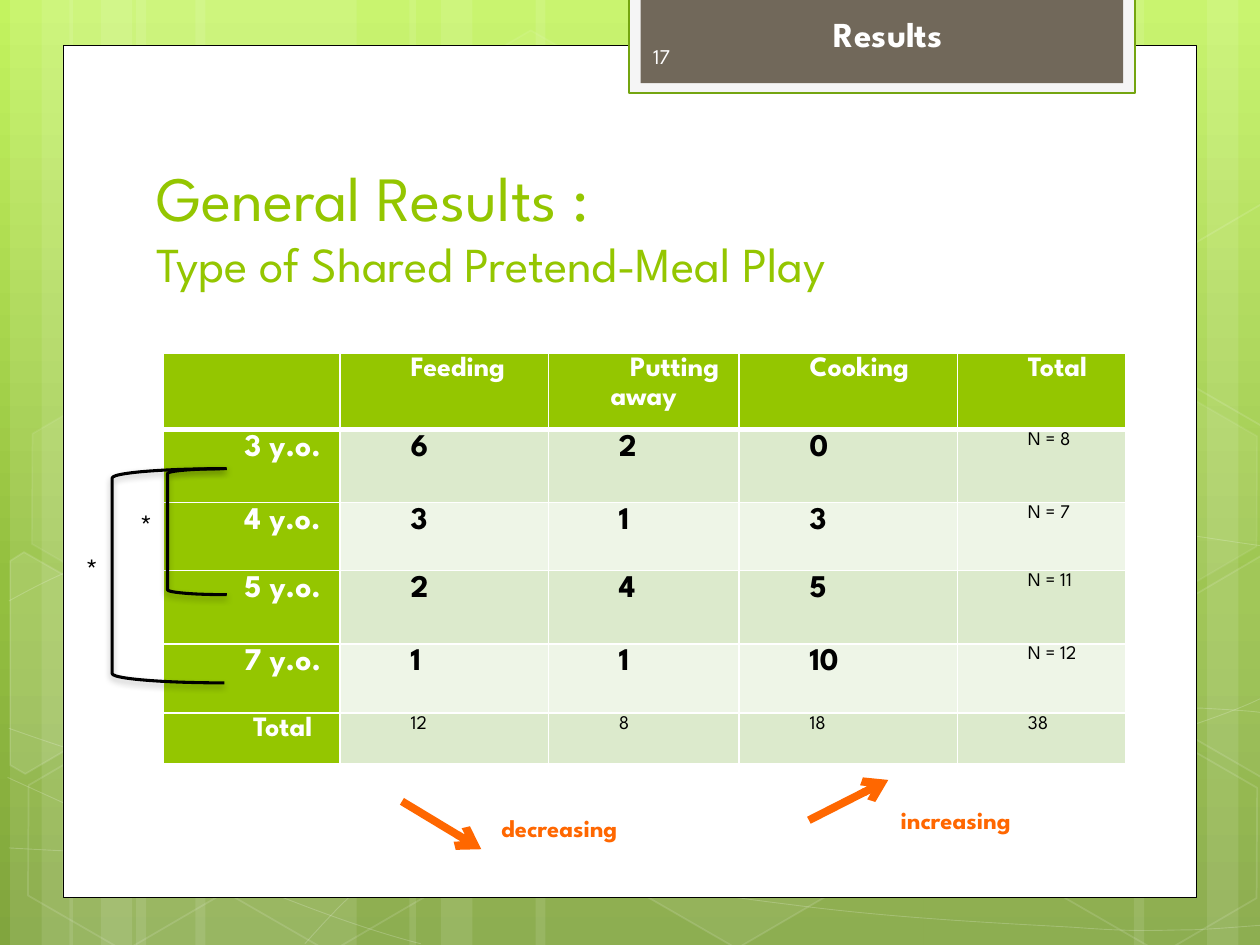
"""Build a results slide with a table of shared pretend-meal play by age."""
import copy
import math
from dataclasses import dataclass
from typing import Optional

import pptx
import pptx.dml.color
import pptx.enum.shapes
import pptx.enum.text
import pptx.oxml
import pptx.oxml.ns
import pptx.util

RGB = pptx.dml.color.RGBColor
SHAPE = pptx.enum.shapes.MSO_SHAPE
ALIGN = pptx.enum.text.PP_ALIGN
ANCHOR = pptx.enum.text.MSO_ANCHOR
Pt = pptx.util.Pt
qn = pptx.oxml.ns.qn

WHITE, BLACK = RGB(0xFF, 0xFF, 0xFF), RGB(0, 0, 0)
GREEN, ORANGE = RGB(0x94, 0xC6, 0x00), RGB(0xFF, 0x67, 0x00)
BAND_DARK, BAND_LIGHT = RGB(0xDC, 0xEA, 0xCC), RGB(0xEE, 0xF5, 0xE7)
TAB_RIM, TAB_EDGE = RGB(0xF5, 0xF5, 0xF5), RGB(0x74, 0xA5, 0x10)
TAB_FILL, NUMBER = RGB(0x71, 0x68, 0x5A), RGB(0xFE, 0xFE, 0xFE)
BACKDROP = [(0, RGB(0xC3, 0xF3, 0x5F)), (0.62, RGB(0x93, 0xBF, 0x3F)), (1, RGB(0x81, 0xA5, 0x3E))]
FONT = "League Spartan"
COLUMNS, ROWS = 100, 75
CELL = pptx.util.Inches(10) / COLUMNS
TILT = 30
NS = 'xmlns:a="http://schemas.openxmlformats.org/drawingml/2006/main"'


@dataclass
class Box:
    x: float
    y: float
    w: float
    h: float


@dataclass
class CutHexagon:
    center: tuple
    points: list
    fill_alpha: int = 0


@dataclass
class Hexagon:
    x: float
    y: float
    fill_alpha: int = 0
    line_alpha: int = 12


@dataclass
class Label:
    text: str
    box: Box
    size: float
    color: RGB
    bold: bool = False
    align: Optional[int] = None
    anchor: int = ANCHOR.TOP
    wrap: bool = False


LEFT_STRIPES = [(10.8, 17.5), (0.8, 5), (3.3, 8.3)]
STRIPES = LEFT_STRIPES + [(x + 4.7, w) for x, w in LEFT_STRIPES] + [
    (73.3, 17.5), (95.8, 5), (90, 8.3), (42.5, 30.8), (32.5, 5), (35, 8.3)]
CURVES = [
    [(0.7, 67.3), (6.1, 67.6), (11.5, 67.9), (19, 67.8), (26.5, 67.7), (35.8, 67.5), (45.8, 66.5),
     (55.8, 65.5), (70, 63.6), (79.2, 61.7), (88.3, 59.8), (97.7, 56.8), (100.7, 55.1)],
    [(0.7, 47.7), (3.6, 46.1), (6.5, 44.6), (12.1, 43.1), (17.8, 41.6), (25.9, 39.4), (34.7, 38.7),
     (43.6, 38), (54.4, 37.9), (65.4, 38.7), (76.4, 39.5), (94.7, 42.6), (100.7, 43.4)],
    [(0.6, 61.7), (12.7, 67.2), (24.7, 72.7), (33.4, 74.9)],
    [(0.7, 57.8), (3.8, 58.9), (7, 60), (12.8, 61.6), (18.6, 63.1), (27.3, 65.6), (35.7, 67.3),
     (44, 69), (54.5, 70.8), (62.8, 71.8), (71.1, 72.9), (80, 73.3), (85.3, 73.6),
     (90.5, 74), (91.9, 73.8), (94.5, 73.8), (97.1, 73.7), (98.9, 73.5), (100.7, 73.4)],
    [(24.2, 74.9), (26, 72.9), (27.8, 70.9), (30.2, 69.1), (32.6, 67.3), (36, 65.3), (38.8, 63.9),
     (41.6, 62.5), (43.3, 61.9), (47, 60.9), (50.6, 59.9), (57.3, 58.5), (60.8, 57.8),
     (64.4, 57.1), (64.9, 57.1), (68, 56.9), (71.1, 56.6), (76, 56.3), (79.4, 56.2),
     (82.9, 56.1), (88.6, 56.2), (88.6, 56.2), (90.8, 56.2), (93, 56.2), (95.3, 56.2),
     (97.1, 56.3), (98.8, 56.4), (99.7, 56.5), (100.3, 56.6), (100.3, 56.5), (100.6, 56.6)]]
HEXAGONS = [
    Hexagon(33.4, 3.6, 4, 8), Hexagon(49.7, 58.9, 6), Hexagon(1.1, 59.1), Hexagon(1.4, 31.2, 7, 8),
    Hexagon(17.4, 59.2), Hexagon(75.3, 45.3, 10), Hexagon(83.4, 59.3), Hexagon(83.4, 31.4, 7, 8)]
RIGHT_EDGE = [(92.6, 48.5), (100.1, 44.1), (100.9, 44.6), (100.9, 61.3), (100.2, 61.7), (92.6, 57.3)]
CUT_HEXAGONS = [
    CutHexagon((3.6, 53.5), [(0.8, 44.5), (1.9, 43.8), (9.6, 48.2), (9.5, 57), (2, 61.4), (0.8, 60.7)], 10),
    CutHexagon((98.5, 52), RIGHT_EDGE, 4),
    CutHexagon((98.5, 24.1), [(x, y - 27.9) for x, y in RIGHT_EDGE])]
LABELS = [
    Label("Results", Box(51.6, 0.5, 37.8, 4.4), 20, WHITE, True, ALIGN.CENTER, wrap=True),
    Label("17", Box(50.85, 2.45, 14.6, 4), 12, NUMBER, anchor=ANCHOR.MIDDLE, wrap=True),
    Label("decreasing", Box(38.8, 64.05, 12.8, 3.4), 14, ORANGE, True),
    Label("increasing", Box(70.5, 63.4, 11.9, 3.4), 14, ORANGE, True),
    Label("*", Box(10.1, 39.7, 3.1, 4), 18, BLACK),
    Label("*", Box(5.8, 43.2, 3.1, 4), 18, BLACK)]
BRACKETS = [Box(13.3, 37.2, 4.7, 10), Box(8.9, 37.2, 8.9, 17)]
ARROWS = [((64.2, 65.1), (70.5, 61.9)), ((31.9, 63.6), (38.2, 67.4))]
TABLE_BOX = Box(12.97, 28, 76.4, 32.6)
COL_WIDTHS = [14.03, 16.53, 15.13, 17.33, 13.38]
ROW_HEIGHTS = [6.1, 5.8, 5.4, 5.8, 5.5, 4]
RESULTS = [
    ["", "Feeding", "Putting away", "Cooking", "Total"],
    ["3 y.o.", "6", "2", "0", "N = 8"],
    ["4 y.o.", "3", "1", "3", "N = 7"],
    ["5 y.o.", "2", "4", "5", "N = 11"],
    ["7 y.o.", "1", "1", "10", "N = 12"],
    ["Total", "12", "8", "18", "38"]]


def span(cells: float) -> int:
    return round(cells * CELL)


def place(b: Box) -> tuple:
    return span(b.x), span(b.y), span(b.w), span(b.h)


def write(p, text, *, size, color, bold=False, align=None):
    r = p.add_run()
    r.text = text
    r.font.name, r.font.size, r.font.bold = FONT, Pt(size), bold
    r.font.color.rgb = color
    if align is not None:
        p.alignment = align


def set_alpha(solid, percent: int):
    if percent < 100:
        solid[0].append(pptx.oxml.parse_xml(f'<a:alpha {NS} val="{percent * 1000}"/>'))


def paint(sp, fill=None, line=None, width=1, fill_alpha=100, line_alpha=100):
    sp.shadow.inherit = False
    props = sp.element.spPr
    if fill is None or not fill_alpha:
        sp.fill.background()
    else:
        sp.fill.solid()
        sp.fill.fore_color.rgb = fill
        set_alpha(props.find(qn("a:solidFill")), fill_alpha)
    if line is None:
        sp.line.fill.background()
    else:
        sp.line.color.rgb, sp.line.width = line, Pt(width)
        set_alpha(props.find(qn("a:ln")).find(qn("a:solidFill")), line_alpha)


def add_box(s, b: Box, kind=SHAPE.RECTANGLE, **style):
    sp = s.shapes.add_shape(kind, *place(b))
    paint(sp, **style)
    return sp


def add_outline(s, points: list, close: bool, **style):
    corners = [(span(x), span(y)) for x, y in points]
    builder = s.shapes.build_freeform(*corners[0])
    builder.add_line_segments(corners[1:], close=close)
    sp = builder.convert_to_shape()
    paint(sp, **style)
    return sp


def add_curve(s, knots: list):
    sp = add_outline(s, knots, False, line=WHITE, width=0.5, line_alpha=20)
    lines = list(sp.element.iter(qn("a:lnTo")))
    for i in range(0, len(lines), 3):
        bend = pptx.oxml.parse_xml(f"<a:cubicBezTo {NS}/>")
        lines[i].addprevious(bend)
        for line in lines[i:i + 3]:
            bend.append(line[0])
            line.getparent().remove(line)


def add_cut_hexagon(s, h: CutHexagon):
    cx, cy = h.center
    cos, sin = math.cos(math.radians(TILT)), math.sin(math.radians(TILT))
    level = [(cx + (x - cx) * cos + (y - cy) * sin, cy - (x - cx) * sin + (y - cy) * cos) for x, y in h.points]
    sp = add_outline(s, level, True, fill=WHITE, line=WHITE, fill_alpha=h.fill_alpha, line_alpha=12)
    sp.rotation = TILT


def add_backdrop(s):
    fill = s.background.fill
    fill.gradient()
    fill.gradient_angle = 270
    stops = s.element.find(".//" + qn("a:gsLst"))
    stops.append(copy.deepcopy(stops[-1]))
    for stop, (position, color) in zip(fill.gradient_stops, BACKDROP):
        stop.position, stop.color.rgb = position, color
    for x, w in STRIPES:
        add_box(s, Box(x, 0, w, ROWS), fill=WHITE, fill_alpha=10)
    for knots in CURVES:
        add_curve(s, knots)
    for h in HEXAGONS:
        sp = add_box(s, Box(h.x, h.y, 17.5, 15.2), SHAPE.HEXAGON, fill=WHITE, line=WHITE,
                     fill_alpha=h.fill_alpha, line_alpha=h.line_alpha)
        sp.adjustments[0], sp.rotation = 0.285, TILT
    for h in CUT_HEXAGONS:
        add_cut_hexagon(s, h)
    add_box(s, Box(5, 3.6, 90, 67.6), fill=WHITE, line=BLACK, width=0.5)
    add_box(s, Box(49.9, -0.2, 40.2, 7.6), fill=TAB_RIM, line=TAB_EDGE, width=1.25)
    add_box(s, Box(50.85, -0.2, 38.3, 6.8), fill=TAB_FILL)


def add_title(s):
    sp = s.shapes.title
    sp.element.getparent().append(sp.element)
    sp.left, sp.top, sp.width, sp.height = place(Box(11.4, 11.2, 76.8, 12.5))
    tf = sp.text_frame
    tf.auto_size, tf.vertical_anchor = pptx.enum.text.MSO_AUTO_SIZE.NONE, ANCHOR.BOTTOM
    p = tf.paragraphs[0]
    write(p, "General Results : ", size=36, color=GREEN, align=ALIGN.LEFT)
    p.add_line_break()
    write(p, "Type of Shared Pretend-Meal Play", size=27.9, color=GREEN)


def add_label(s, label: Label):
    tf = s.shapes.add_textbox(*place(label.box)).text_frame
    tf.word_wrap, tf.vertical_anchor = label.wrap, label.anchor
    write(tf.paragraphs[0], label.text, size=label.size, color=label.color, bold=label.bold, align=label.align)


def format_cell(cell, tc, text: str, row: int, col: int):
    head, total = row == 0 or col == 0, row == 5 or col == 4
    cell.fill.solid()
    cell.fill.fore_color.rgb = GREEN if head else BAND_DARK if row % 2 else BAND_LIGHT
    cell.margin_left = cell.margin_right = span(0.7)
    cell.margin_top = cell.margin_bottom = 0
    borders = {"lnL": 1, "lnR": 1, "lnT": 3 if row == 1 else 1, "lnB": 1 if row else 3}
    for i, (side, width) in enumerate(borders.items()):
        tc.find(qn("a:tcPr")).insert(i, pptx.oxml.parse_xml(
            f'<a:{side} {NS} w="{Pt(width)}"><a:solidFill><a:srgbClr val="{WHITE}"/></a:solidFill></a:{side}>'))
    if text:
        p = cell.text_frame.paragraphs[0]
        p.line_spacing, p.space_before, p.space_after = 1.15, Pt(6), Pt(9)
        size = (16 if row in (0, 5) else 18) if head else 11 if total else 18
        write(p, text, size=size, color=WHITE if head else BLACK, bold=head or not total,
              align=ALIGN.CENTER if col == 0 or (row, col) == (0, 2) else ALIGN.JUSTIFY)
        tc.find(".//" + qn("a:pPr")).set("indent", str(span(4.9)))


def add_results(s):
    frame = s.shapes.add_table(len(RESULTS), len(COL_WIDTHS), *place(TABLE_BOX))
    table = frame.table
    cells = frame.element.iter(qn("a:tc"))
    for column, w in zip(table.columns, COL_WIDTHS):
        column.width = span(w)
    for i, h in enumerate(ROW_HEIGHTS):
        table.rows[i].height = span(h)
        for j, text in enumerate(RESULTS[i]):
            format_cell(table.cell(i, j), next(cells), text, i, j)


def add_bracket(s, b: Box):
    sp = add_box(s, b, SHAPE.LEFT_BRACKET, line=BLACK, width=1.75)
    sp.element.spPr.find(qn("a:effectLst")).append(pptx.oxml.parse_xml(
        f'<a:outerShdw {NS} blurRad="{Pt(4)}" dist="{Pt(2)}" dir="5400000" rotWithShape="0">'
        f'<a:srgbClr val="{BLACK}"><a:alpha val="28000"/></a:srgbClr></a:outerShdw>'))


def add_arrow(s, start: tuple, end: tuple):
    line = s.shapes.add_connector(pptx.enum.shapes.MSO_CONNECTOR.STRAIGHT, *map(span, start + end))
    line.line.color.rgb, line.line.width = ORANGE, Pt(4.5)
    props = line.element.spPr
    props.find(qn("a:ln")).append(pptx.oxml.parse_xml(f'<a:tailEnd {NS} type="arrow"/>'))
    props.append(pptx.oxml.parse_xml(f"<a:effectLst {NS}/>"))


def main():
    prs = pptx.Presentation()
    prs.slide_width, prs.slide_height = span(COLUMNS), span(ROWS)
    s = prs.slides.add_slide(prs.slide_layouts[5])
    add_backdrop(s)
    add_title(s)
    add_results(s)
    for b in BRACKETS:
        add_bracket(s, b)
    for label in LABELS:
        add_label(s, label)
    for start, end in ARROWS:
        add_arrow(s, start, end)
    prs.save("out.pptx")


if __name__ == "__main__":
    main()
